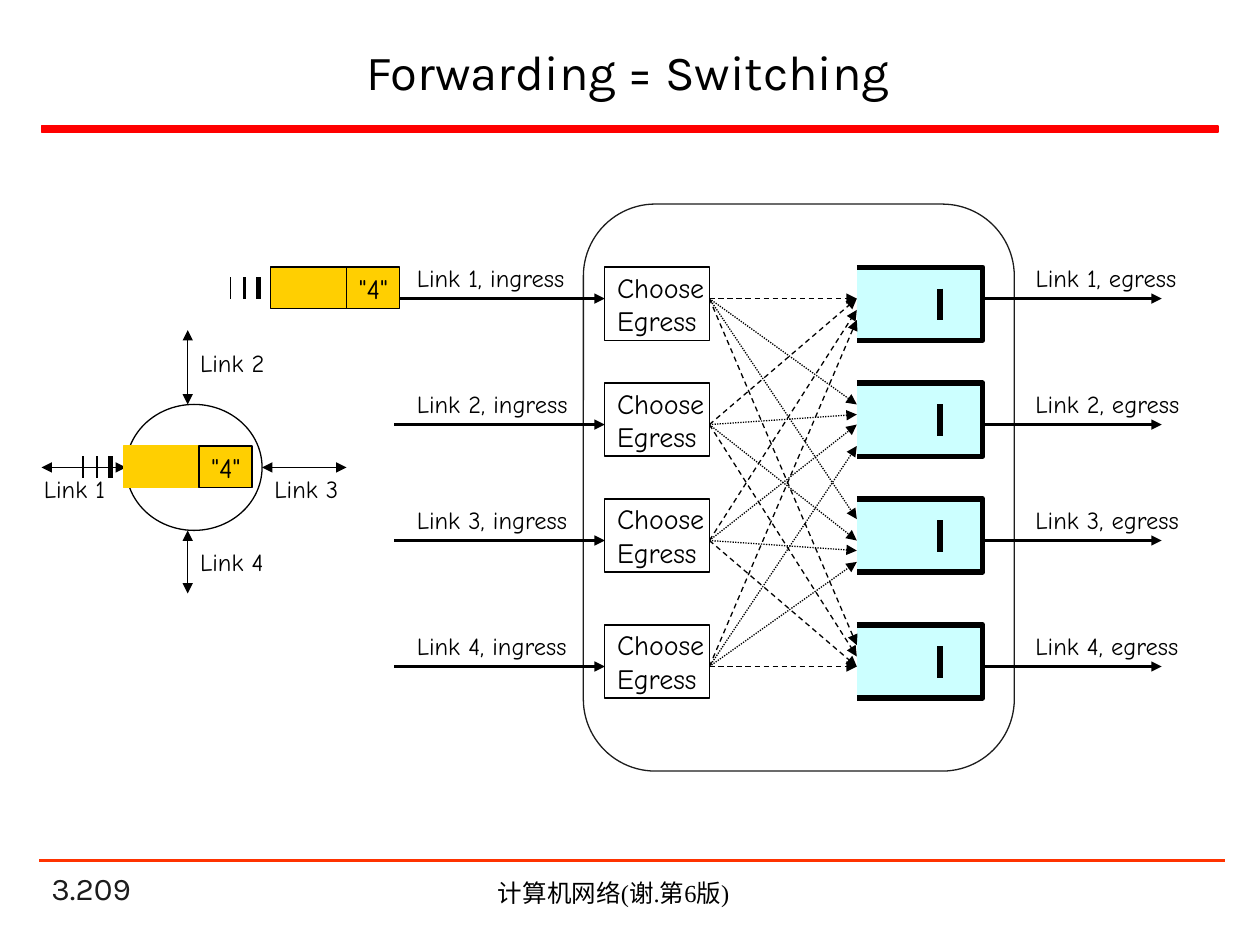
import pptx
import pptx.util
import pptx.dml.color
import pptx.enum.dml
import pptx.enum.shapes
import pptx.enum.text
import pptx.oxml

SHAPE = pptx.enum.shapes.MSO_SHAPE
DASH = pptx.enum.dml.MSO_LINE
ALIGN = pptx.enum.text.PP_ALIGN
ANCHOR = pptx.enum.text.MSO_ANCHOR
FIT = pptx.enum.text.MSO_AUTO_SIZE

INGRESS_LEFT, INGRESS_RIGHT = 4.8, 5.63
QUEUE_LEFT, QUEUE_RIGHT = 6.8, 7.8
BOX_HEIGHT, LABEL_HEIGHT = 0.58, 0.33
BOX_TOPS = [2.12, 3.04, 3.96, 4.96]
LINK_ROWS = [2.37, 3.37, 4.29, 5.29]
QUEUE_ENTRIES = [
    [2.37, 2.37, 2.46, 2.54],
    [3.21, 3.29, 3.37, 3.54],
    [4.12, 4.29, 4.37, 4.46],
    [5.12, 5.21, 5.29, 5.29],
]
QUEUE_DASHES = [DASH.DASH, DASH.ROUND_DOT, DASH.ROUND_DOT, DASH.DASH]


def inches(*lengths):
    """Convert lengths in inches to slide units."""
    return [pptx.util.Inches(length) for length in lengths]


def color(value):
    """Return the colour of a hex string."""
    return pptx.dml.color.RGBColor.from_string(value)


def write(shape, text, size=14, font="Comic Neue", hex_color="000000",
          align=ALIGN.LEFT, anchor=ANCHOR.TOP, wrap=False, fit=FIT.NONE):
    """Put formatted text in a shape, one paragraph for each line."""
    frame = shape.text_frame
    frame.text = text
    frame.word_wrap = wrap
    frame.auto_size = fit
    frame.vertical_anchor = anchor
    for paragraph in frame.paragraphs:
        paragraph.alignment = align
        paragraph.font.size = pptx.util.Pt(size)
        paragraph.font.name = font
        paragraph.font.color.rgb = color(hex_color)


def paint(shape, fill, line, width):
    """Give a shape its fill and outline."""
    shape.shadow.inherit = False
    if fill:
        shape.fill.solid()
        shape.fill.fore_color.rgb = color(fill)
    else:
        shape.fill.background()
    shape.line.color.rgb = color(line)
    shape.line.width = pptx.util.Pt(width)


def add_box(slide, box, kind=SHAPE.RECTANGLE, fill=None, line="000000", width=0.75):
    """Add a preset shape."""
    shape = slide.shapes.add_shape(kind, *inches(*box))
    paint(shape, fill, line, width)
    return shape


def add_text(slide, box, text, **text_format):
    """Add a text box."""
    write(slide.shapes.add_textbox(*inches(*box)), text, **text_format)


def add_line(slide, start, end, width=0.75, line="000000", dash=None, arrows=()):
    """Add a straight line with arrowheads at the named ends."""
    connector = slide.shapes.add_connector(
        pptx.enum.shapes.MSO_CONNECTOR.STRAIGHT, *inches(*start, *end))
    connector.line.color.rgb = color(line)
    connector.line.width = pptx.util.Pt(width)
    if dash:
        connector.line.dash_style = dash
    outline = connector.line._get_or_add_ln()
    for arrow in arrows:
        pptx.oxml.parse_xml(
            '<a:ln xmlns:a="http://schemas.openxmlformats.org/drawingml/2006/main"/>')
        end_mark = outline.makeelement(pptx.oxml.ns.qn("a:" + arrow), {"type": "triangle"})
        outline.append(end_mark)
    properties = connector._element.spPr
    properties.append(properties.makeelement(pptx.oxml.ns.qn("a:effectLst"), {}))


def add_label(slide, left, top, text, width):
    """Add a link label that fits its text."""
    add_text(slide, (left, top, width, LABEL_HEIGHT), text, fit=FIT.SHAPE_TO_FIT_TEXT)


def add_queue(slide, top):
    """Add an egress queue, open on the left, with one waiting mark."""
    left, right, start, bottom = inches(QUEUE_LEFT, QUEUE_RIGHT, top, top + BOX_HEIGHT)
    builder = slide.shapes.build_freeform(left, start)
    builder.add_line_segments([(right, start), (right, bottom), (left, bottom)], close=False)
    paint(builder.convert_to_shape(), "CCFFFF", "000000", 3)
    add_line(slide, (7.46, top + 0.17), (7.46, top + 0.42), width=3)


def add_packet(slide, left, top, line):
    """Add a moving packet with its address field and speed marks."""
    add_box(slide, (left, top, 0.6, LABEL_HEIGHT), fill="FFCF01", line=line)
    for step, width in enumerate((3, 1.5, 0.75)):
        column = left - 0.1 - step * 0.11
        add_line(slide, (column, top + 0.08), (column, top + 0.25), width=width)
    address = add_box(slide, (left + 0.6, top, 0.42, LABEL_HEIGHT), fill="FFCF01")
    write(address, '"4"', size=16, anchor=ANCHOR.MIDDLE)


def add_frame(slide):
    """Add the title, the rules and the footer."""
    title = slide.shapes.title
    title.left, title.top, title.width, title.height = inches(0.37, 0.22, 9.23, 0.69)
    write(title, "Forwarding = Switching", size=28, font="Karla",
          align=ALIGN.CENTER, anchor=ANCHOR.MIDDLE, wrap=True)
    add_text(slide, (0.31, 6.92, 2.08, 0.33), "3.209", size=18, font="Karla",
             hex_color="1C1C1C", anchor=ANCHOR.BOTTOM, wrap=True)
    add_box(slide, (0.33, 1, 9.34, 0.05), fill="FF0000", line="FF0000", width=1)
    add_line(slide, (0.31, 6.83), (9.72, 6.83), width=1.5, line="FF3300")
    add_text(slide, (2.83, 6.92, 4.08, 0.34), "计算机网络(谢.第6版)",
             font="Times New Roman", align=ALIGN.CENTER, wrap=True)


def add_router(slide):
    """Add the router with its four two-way links."""
    add_box(slide, (1, 3.21, 1.08, 1), kind=SHAPE.OVAL, fill="FFFFFF")
    links = [
        ((0.33, 3.71), (1, 3.71), (0.25, 3.71)),
        ((1.49, 2.62), (1.49, 3.21), (1.49, 2.71)),
        ((2.08, 3.71), (2.75, 3.71), (2.08, 3.71)),
        ((1.49, 4.21), (1.49, 4.71), (1.49, 4.29)),
    ]
    for number, (start, end, label) in enumerate(links, 1):
        add_line(slide, start, end, arrows=("headEnd", "tailEnd"))
        add_label(slide, *label, f"Link {number}", 0.71 if number == 1 else 0.74)


def add_switch(slide):
    """Add the switch with its ingress choices, paths and egress queues."""
    switch = add_box(slide, (4.63, 1.62, 3.42, 4.5), kind=SHAPE.ROUNDED_RECTANGLE, line="1C1C1C")
    switch.adjustments[0] = 0.167
    for number, row in enumerate(LINK_ROWS, 1):
        extra = 0 if number == 1 else 0.04
        for side, left, label_left, label_width in (
                ("ingress", 3.13, 3.21, 1.47), ("egress", 7.55, 8.12, 1.42)):
            add_line(slide, (left, row), (left + 1.67, row), width=1.5, arrows=("tailEnd",))
            add_label(slide, label_left, row - LABEL_HEIGHT,
                      f"Link {number}, {side}", label_width + extra)
    for top in BOX_TOPS:
        add_queue(slide, top)
    for entries, dash in zip(QUEUE_ENTRIES, QUEUE_DASHES):
        for row, entry in zip(LINK_ROWS, entries):
            add_line(slide, (INGRESS_RIGHT, row), (QUEUE_LEFT, entry),
                     dash=dash, arrows=("tailEnd",))
    for top in BOX_TOPS:
        choice = add_box(slide, (INGRESS_LEFT, top, INGRESS_RIGHT - INGRESS_LEFT, BOX_HEIGHT),
                         fill="FFFFFF")
        write(choice, "Choose\nEgress", size=16, anchor=ANCHOR.MIDDLE)


def main():
    """Build the slide and save it."""
    presentation = pptx.Presentation()
    presentation.slide_width, presentation.slide_height = inches(10, 7.5)
    slide = presentation.slides.add_slide(presentation.slide_layouts[5])
    add_frame(slide)
    add_router(slide)
    add_switch(slide)
    add_packet(slide, 0.98, 3.54, "FFCF01")
    add_packet(slide, 2.15, 2.12, "000000")
    presentation.save("out.pptx")


if __name__ == "__main__":
    main()
